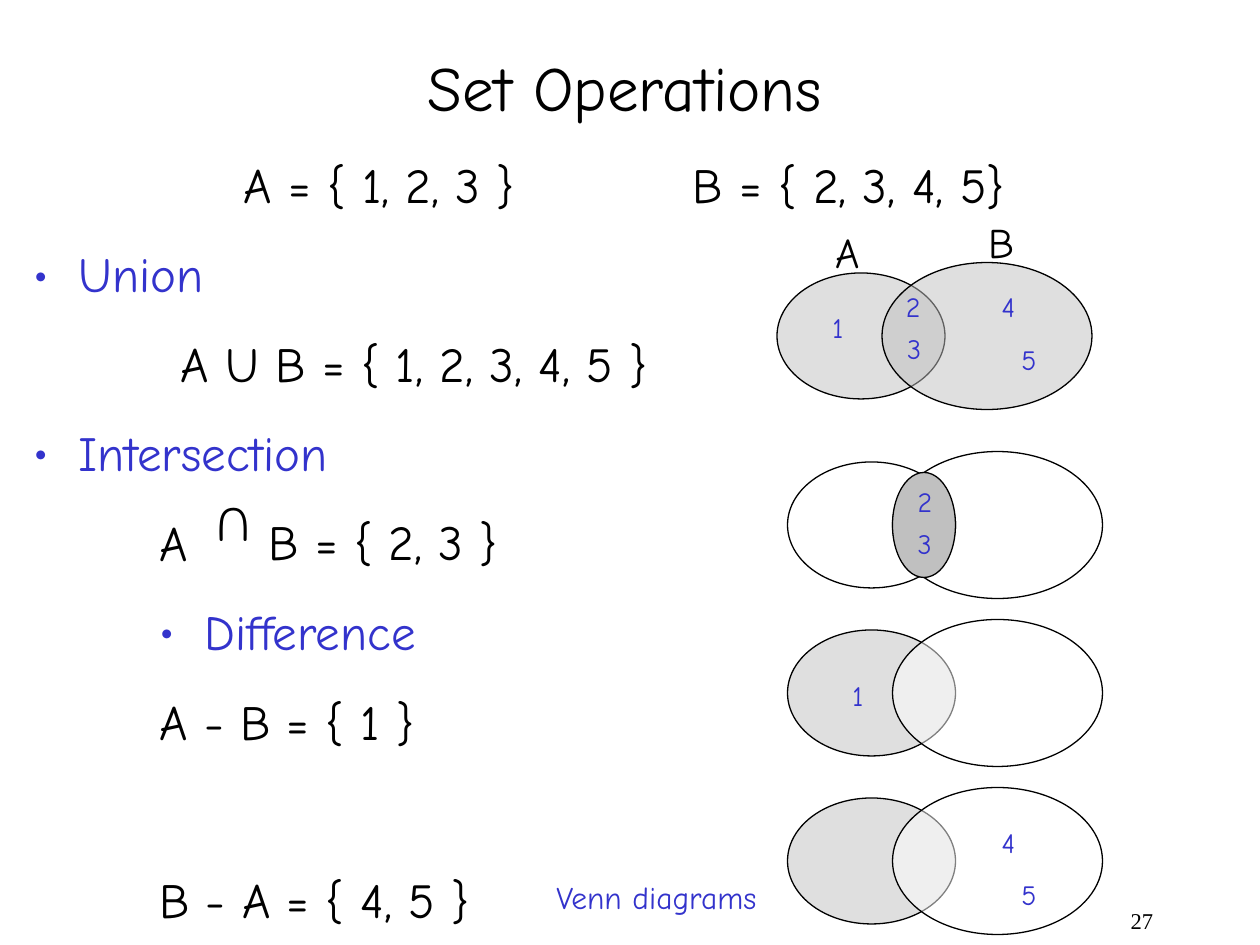
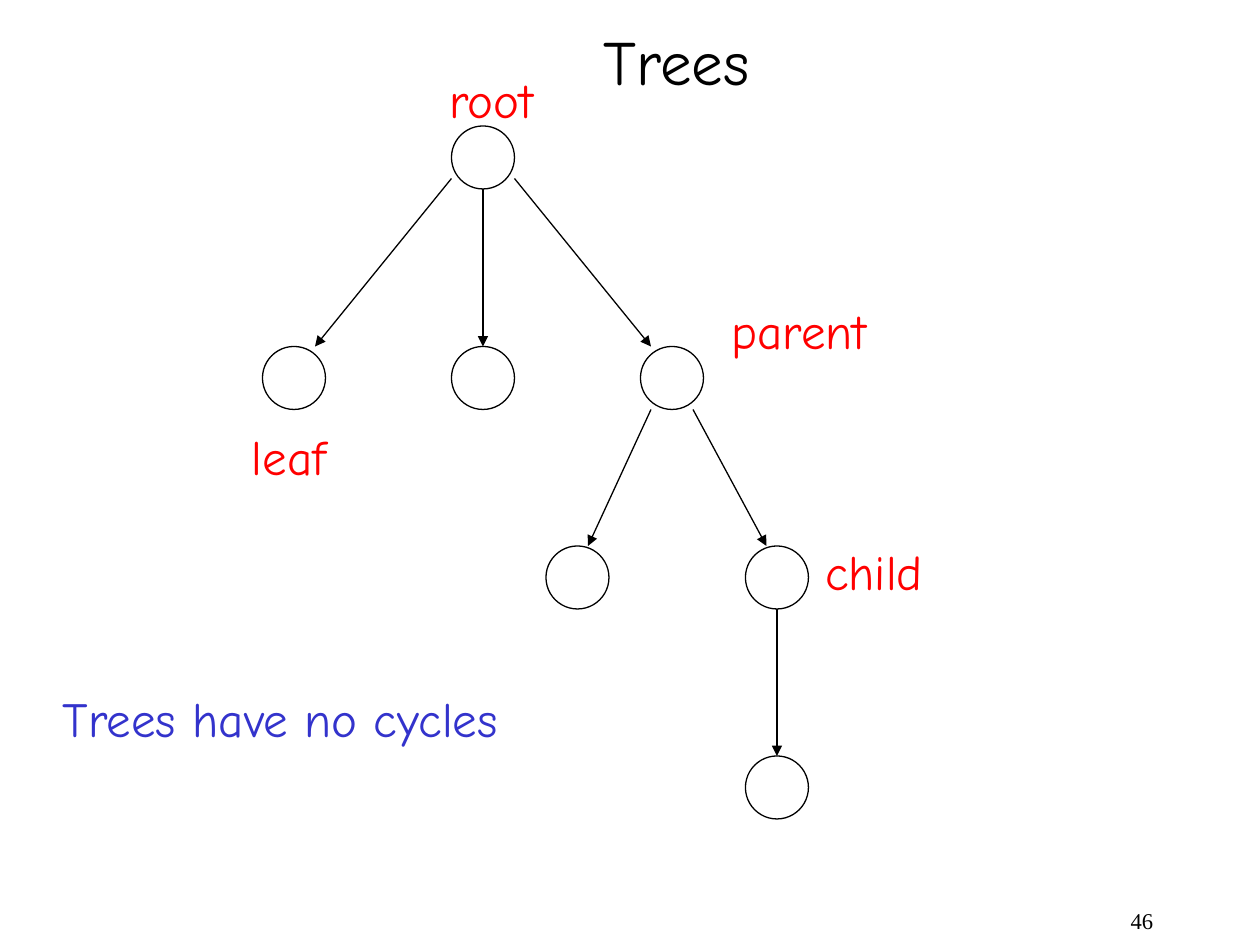
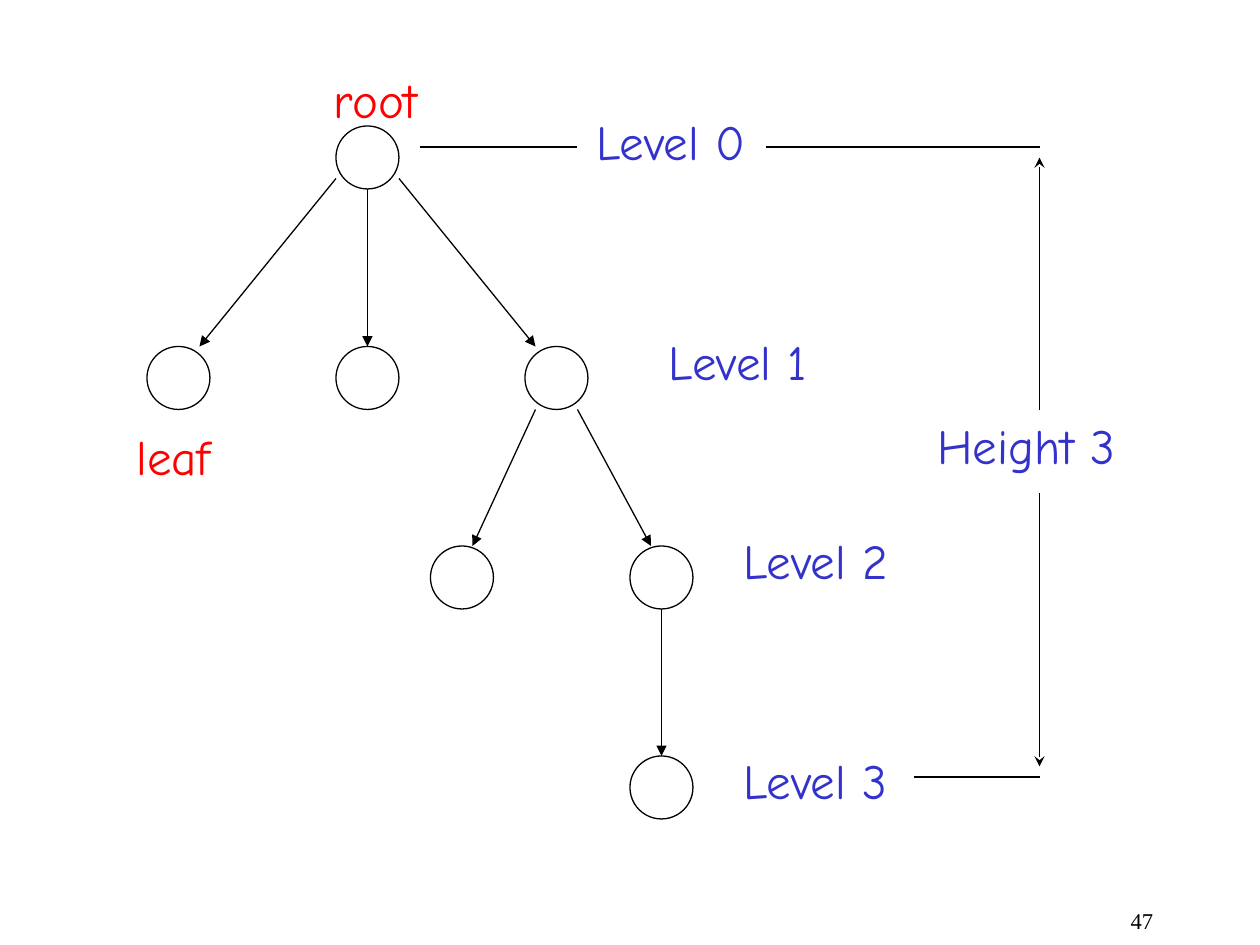
from dataclasses import dataclass

from lxml import etree
from pptx import Presentation
from pptx.dml.color import RGBColor
from pptx.enum.shapes import MSO_CONNECTOR, MSO_SHAPE
from pptx.enum.text import MSO_AUTO_SIZE, PP_ALIGN
from pptx.oxml.ns import qn
from pptx.util import Inches, Pt

STRAIGHT = MSO_CONNECTOR.STRAIGHT
ELLIPSE = MSO_SHAPE.OVAL
LEFT, CENTER, RIGHT = PP_ALIGN.LEFT, PP_ALIGN.CENTER, PP_ALIGN.RIGHT
GROW = MSO_AUTO_SIZE.SHAPE_TO_FIT_TEXT
COLUMNS, ROWS = 120, 90
CELL = Inches(10) // COLUMNS
TOP_SITE = 0


@dataclass(frozen=True)
class Theme:
    """Colours, fonts and sizes shared by the slides."""
    ink: str = "000000"
    accent: str = "3333CC"
    alert: str = "FF0000"
    shade: str = "C0C0C0"
    paper: str = "FFFFFF"
    font: str = "Comic Neue"
    number_font: str = "Times New Roman"
    title: float = 36
    body: float = 28
    set_name: float = 24
    caption: float = 18
    element: float = 16
    number: float = 12.9
    line: float = 0.75
    gap: float = 17.5
    leading: float = 1.2


THEME = Theme()


@dataclass(frozen=True)
class Box:
    """A region of the slide measured in grid columns and rows."""
    left: float
    top: float
    width: float = 0
    height: float = 0

    def inner(self, column, row, width=0, height=0):
        """Return a box placed relative to this one."""
        return Box(self.left + column, self.top + row, width, height)

    def emu(self):
        """Return left, top, width and height in slide units."""
        return [round(v * CELL) for v in (self.left, self.top, self.width, self.height)]


def child(parent, tag, **attributes):
    """Append a drawing element with the given attributes."""
    return etree.SubElement(parent, qn(tag), attributes)


def write(paragraph, text, *, size=THEME.body, color=THEME.ink, font=THEME.font,
          align=LEFT, before=0, spacing=None, margin=0, bullet=None, hang=0):
    """Fill one paragraph with formatted text."""
    paragraph.alignment = align
    if before:
        paragraph.space_before = Pt(before)
    if spacing:
        paragraph.line_spacing = spacing
    properties = paragraph._p.get_or_add_pPr()
    properties.set("marL", str(Inches(margin)))
    properties.set("indent", str(Inches(-hang)))
    if bullet:
        child(child(properties, "a:buClr"), "a:srgbClr", val=color)
        child(properties, "a:buFont", typeface=font)
        child(properties, "a:buChar", char=bullet)
    else:
        child(properties, "a:buNone")
    run = paragraph.add_run()
    run.text = text
    run.font.size = Pt(size)
    run.font.name = font
    run.font.color.rgb = RGBColor.from_string(color)


def label(slide, box, text, *, wrap=False, rotation=0, size=THEME.body, **style):
    """Add a one-line text box whose height follows its type size."""
    height = size * THEME.leading / 6 + 1.2
    holder = slide.shapes.add_textbox(*box.inner(0, 0, box.width, height).emu())
    holder.rotation = rotation
    holder.text_frame.word_wrap = wrap
    holder.text_frame.auto_size = GROW
    write(holder.text_frame.paragraphs[0], text, size=size, **style)


def ellipse(slide, box, fill=None, alpha=None):
    """Add an outlined ellipse, optionally filled and see-through."""
    oval = slide.shapes.add_shape(ELLIPSE, *box.emu())
    oval.shadow.inherit = False
    oval.line.color.rgb = RGBColor.from_string(THEME.ink)
    oval.line.width = Pt(THEME.line)
    if fill is None:
        oval.fill.background()
        return oval
    oval.fill.solid()
    oval.fill.fore_color.rgb = RGBColor.from_string(fill)
    if alpha:
        color = oval.fill._xPr.find(".//" + qn("a:srgbClr"))
        child(color, "a:alpha", val=str(alpha * 1000))
    return oval


def connect(slide, start, end, arrow=None):
    """Draw a straight line between two grid points."""
    line = slide.shapes.add_connector(STRAIGHT, *start.emu()[:2], *end.emu()[:2])
    line.line.color.rgb = RGBColor.from_string(THEME.ink)
    line.line.width = Pt(THEME.line)
    if arrow:
        child(line.line._get_or_add_ln(), "a:tailEnd", type=arrow)
    child(line._element.spPr, "a:effectLst")
    return line


def new_slide(deck, number):
    """Add a blank slide with its page number."""
    slide = deck.slides.add_slide(deck.slide_layouts[6])
    slide.background.fill.solid()
    slide.background.fill.fore_color.rgb = RGBColor.from_string(THEME.paper)
    label(slide, Box(86, 86.1, 25), str(number), wrap=True, size=THEME.number,
          font=THEME.number_font, align=RIGHT, spacing=0.9)
    return slide


def operations_text(slide, box):
    """Write the title, the two sets and the list of operations."""
    frame = slide.shapes.add_textbox(*box.emu()).text_frame
    frame.word_wrap = True
    heading = dict(color=THEME.accent, bullet="•", hang=0.36)
    blank_line = THEME.body * THEME.leading + THEME.gap
    lines = [
        ("Set Operations", dict(size=THEME.title, align=CENTER, before=0)),
        ("A = { 1, 2, 3 }", dict(margin=1.67)),
        ("Union", dict(margin=0.36, **heading)),
        ("A U B = { 1, 2, 3, 4, 5 }", dict(margin=1.17)),
        ("Intersection", dict(margin=0.36, **heading)),
        ("A", dict(margin=1)),
        ("Difference", dict(margin=1.36, **heading)),
        ("A - B = { 1 }", dict(margin=1)),
        ("B - A = { 4, 5 }", dict(margin=1, before=THEME.gap + blank_line)),
    ]
    for index, (text, style) in enumerate(lines):
        paragraph = frame.add_paragraph() if index else frame.paragraphs[0]
        write(paragraph, text, **{"before": THEME.gap, **style})
    label(slide, box.inner(62.8, 10.1, 36), "B = { 2, 3, 4, 5}", wrap=True)
    label(slide, box.inner(17, 42.9, 6), "U", wrap=True, rotation=180)
    label(slide, box.inner(22.4, 44.1, 30), "B = { 2, 3 }", wrap=True)


def venn(slide, box, elements, fill_a=None, fill_b=None, lens=False):
    """Draw two overlapping sets and their elements."""
    ellipse(slide, box.inner(0, 1, 16, 12), fill_a, 50)
    ellipse(slide, box.inner(10, 0, 20, 14), fill_b, 50)
    if lens:
        ellipse(slide, box.inner(10, 2, 6, 10), THEME.shade)
    for element, column, row in elements:
        label(slide, box.inner(column, row, 3.7), element,
              size=THEME.element, color=THEME.accent)


def set_slide(deck):
    """Build the slide on set operations."""
    slide = new_slide(deck, 27)
    operations_text(slide, Box(2, 4, 115, 85))
    union = Box(74, 25)
    venn(slide, union, [("2", 11.1, 2), ("3", 11.2, 6), ("1", 4.1, 4),
                        ("4", 20.2, 2), ("5", 22.1, 7)], THEME.shade, THEME.shade)
    for name, column, row in [("A", 4.4, -4), ("B", 19, -5)]:
        label(slide, union.inner(column, row, 4.7), name, size=THEME.set_name)
    venn(slide, Box(75, 43), [("2", 11.2, 2.6), ("3", 11.2, 6.6)], lens=True)
    venn(slide, Box(75, 59), [("1", 5, 5)], THEME.shade, THEME.paper)
    venn(slide, Box(75, 75), [("4", 19.2, 3), ("5", 21.1, 8)], THEME.shade, THEME.paper)
    label(slide, Box(51.8, 83, 21.7), "Venn diagrams",
          size=THEME.caption, color=THEME.accent)


def tree(slide, box):
    """Draw the tree with its root and leaf labels."""
    places = [(18, 6), (0, 27), (18, 27), (36, 27), (27, 46), (46, 46), (46, 66)]
    nodes = [ellipse(slide, box.inner(*place, 6, 6)) for place in places]
    edges = [((18, 11), (5, 27), None), ((21, 12), (21, 27), nodes[2]),
             ((24, 11), (37, 27), None), ((37, 33), (31, 46), None),
             ((41, 33), (48, 46), None), ((49, 52), (49, 66), nodes[6])]
    for start, end, target in edges:
        edge = connect(slide, box.inner(*start), box.inner(*end), "triangle")
        if target is not None:
            edge.end_connect(target, TOP_SITE)
    label(slide, box.inner(16.6, 0, 10.4), "root", color=THEME.alert)
    label(slide, box.inner(-2.2, 34, 9.5), "leaf", color=THEME.alert)


def trees_slide(deck):
    """Build the slide that names the parts of a tree."""
    slide = new_slide(deck, 46)
    label(slide, Box(56.3, 1.6, 16.4), "Trees", size=THEME.title)
    diagram = Box(25, 6)
    tree(slide, diagram)
    label(slide, diagram.inner(43.5, 22, 15.4), "parent", color=THEME.alert)
    label(slide, diagram.inner(52.4, 45, 11.7), "child", color=THEME.alert)
    label(slide, Box(4.8, 65, 44), "Trees have no cycles", color=THEME.accent)


def height_scale(slide, box):
    """Draw the level guides and the height arrows."""
    right = box.width
    for start, end, row in [(0, 15, 0), (33, right, 0), (47, right, box.height)]:
        connect(slide, box.inner(start, row), box.inner(end, row))
    for start, end in [(25, 1), (33, box.height - 1)]:
        connect(slide, box.inner(right, start), box.inner(right, end), "stealth")
    names = [("Level 0", 15.6, -4, 16.7), ("Level 1", 22.5, 17, 15.7),
             ("Level 2", 29.6, 35.9, 16.3), ("Level 3", 29.6, 56.9, 16.2),
             ("Height 3", 48.1, 25, 19.4)]
    for name, column, row, width in names:
        label(slide, box.inner(column, row, width), name, color=THEME.accent)


def levels_slide(deck):
    """Build the slide on the levels and height of a tree."""
    slide = new_slide(deck, 47)
    tree(slide, Box(14, 6))
    height_scale(slide, Box(40, 14, 59, 60))


def main():
    """Build and save the deck."""
    deck = Presentation()
    deck.slide_width, deck.slide_height = COLUMNS * CELL, ROWS * CELL
    for build in (set_slide, trees_slide, levels_slide):
        build(deck)
    deck.save("out.pptx")


if __name__ == "__main__":
    main()
